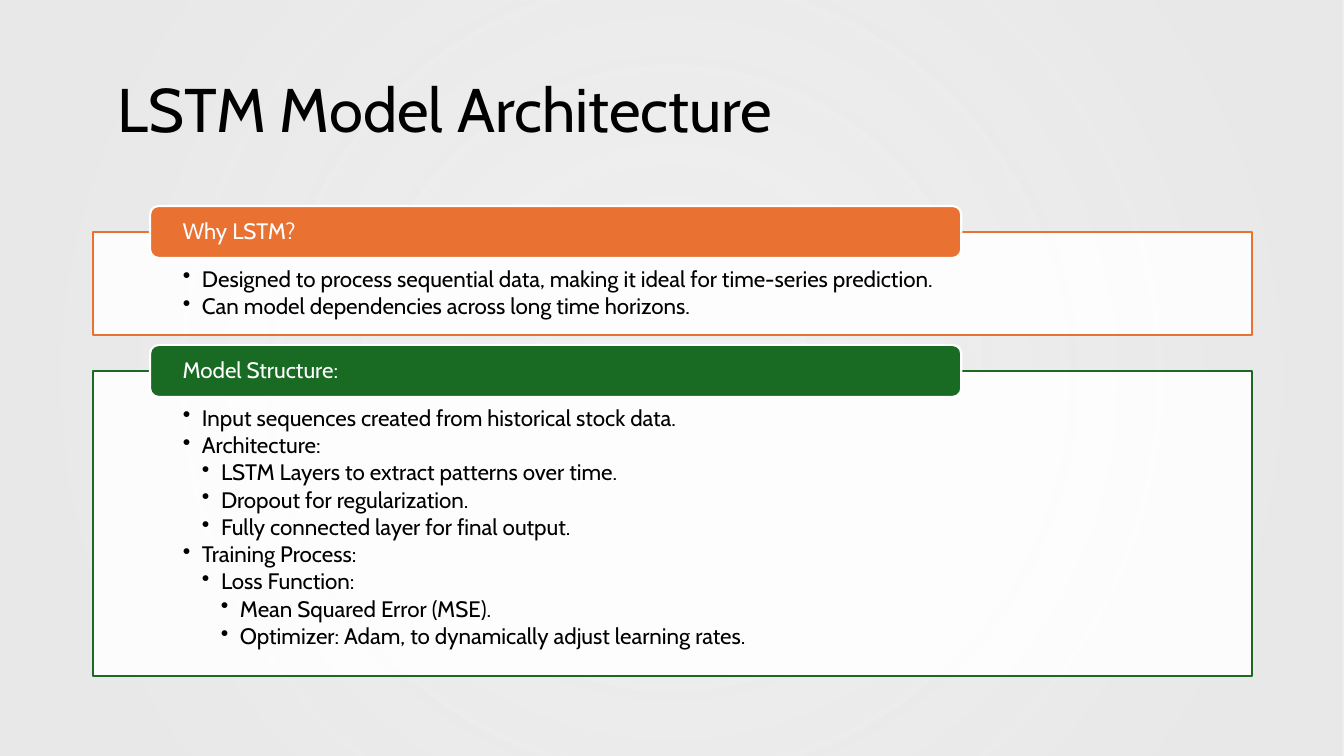
from dataclasses import dataclass

from lxml.etree import SubElement
from pptx import Presentation
from pptx.dml.color import RGBColor as Rgb
from pptx.enum.shapes import MSO_SHAPE as Shape
from pptx.enum.text import MSO_ANCHOR as Anchor, PP_ALIGN as Align
from pptx.oxml import parse_xml
from pptx.oxml.ns import nsdecls, qn
from pptx.util import Pt

SCALE = 914400 / 100.8


@dataclass(frozen=True)
class Theme:
    font: str = "Cabin"
    head: int = 44
    body: int = 16
    line: float = 1.5
    black: str = "000000"
    white: str = "FFFFFF"
    grey: str = "E8E8E8"
    orange: str = "E97132"
    green: str = "196B24"


THEME = Theme()

PANELS = [
    (232, 103, THEME.orange, "Why LSTM?", [
        (1, "Designed to process sequential data, making it ideal for time-series prediction."),
        (1, "Can model dependencies across long time horizons."),
    ]),
    (371, 305, THEME.green, "Model Structure:", [
        (1, "Input sequences created from historical stock data."),
        (1, "Architecture:"),
        (2, "LSTM Layers to extract patterns over time."),
        (2, "Dropout for regularization."),
        (2, "Fully connected layer for final output."),
        (1, "Training Process:"),
        (2, "Loss Function:"),
        (3, "Mean Squared Error (MSE)."),
        (3, "Optimizer: Adam, to dynamically adjust learning rates."),
    ]),
]


def px(n):
    return round(n * SCALE)


def add_box(slide, kind, box, fill, edge=None):
    shape = slide.shapes.add_shape(kind, *map(px, box))
    shape.shadow.inherit = False
    shape.fill.solid()
    shape.fill.fore_color.rgb = Rgb.from_string(fill)
    if edge:
        shape.line.color.rgb = Rgb.from_string(edge)
        shape.line.width = Pt(THEME.line)
    else:
        shape.line.fill.background()
    return shape


def set_frame(shape, pads, anchor):
    frame = shape.text_frame
    frame.word_wrap = True
    frame.vertical_anchor = anchor
    (frame.margin_left, frame.margin_top,
     frame.margin_right, frame.margin_bottom) = map(px, pads)
    return frame


def set_text(para, text, size, color):
    para.text = text
    para.alignment = Align.LEFT
    para.line_spacing = 0.9
    para.font.name = THEME.font
    para.font.size = Pt(size)
    para.font.color.rgb = Rgb.from_string(color)


def add_bullet(para, level):
    para.level = level
    para.space_after = Pt(2.2)
    props = para._p.get_or_add_pPr()
    props.set("marL", str(px(19 * level)))
    props.set("indent", str(px(-19)))
    mark = SubElement(props, qn("a:buChar"))
    mark.set("char", "•")
    props.insert_element_before(mark, "a:tabLst", "a:defRPr", "a:extLst")


def add_back(slide, box):
    shape = add_box(slide, Shape.RECTANGLE, box, THEME.grey)
    stops = "".join(
        f'<a:gs pos="{pos}000"><a:srgbClr val="{THEME.grey}">'
        f'<a:alpha val="{alpha}000"/></a:srgbClr></a:gs>'
        for pos, alpha in ((10, 68), (85, 97)))
    grad = parse_xml(
        f'<a:gradFill {nsdecls("a")}><a:gsLst>{stops}</a:gsLst>'
        '<a:path path="circle"><a:fillToRect l="50000" t="50000" '
        'r="50000" b="50000"/></a:path></a:gradFill>')
    props = shape._element.spPr
    props.replace(props.find(qn("a:solidFill")), grad)


def add_title(slide, box, text):
    shape = slide.shapes.add_textbox(*map(px, box))
    frame = set_frame(shape, (25, 5, 10, 5), Anchor.MIDDLE)
    set_text(frame.paragraphs[0], text, THEME.head, THEME.black)


def add_panel(slide, box, color, label, items):
    left, top, width, height = box
    body = add_box(slide, Shape.RECTANGLE, box, THEME.white, color)
    tint = body._element.spPr.find(qn("a:solidFill"))[0]
    SubElement(tint, qn("a:alpha")).set("val", "90000")
    frame = set_frame(body, (90, 36, 90, 12), Anchor.TOP)
    for i, (level, text) in enumerate(items):
        para = frame.add_paragraph() if i else frame.paragraphs[0]
        set_text(para, text, THEME.body, THEME.black)
        add_bullet(para, level)

    spot = (left + 57, top - 26, width * 0.7, 52)
    tab = add_box(slide, Shape.ROUNDED_RECTANGLE, spot, color, THEME.white)
    frame = set_frame(tab, (30, 0, 30, 0), Anchor.MIDDLE)
    set_text(frame.paragraphs[0], label, THEME.body, THEME.white)


def main():
    deck = Presentation()
    deck.slide_width, deck.slide_height = px(1344), px(756)
    slide = deck.slides.add_slide(deck.slide_layouts[6])
    add_back(slide, (0, 0, 1344, 756))
    add_title(slide, (93, 40, 1159, 146), "LSTM Model Architecture")
    for top, height, color, label, items in PANELS:
        add_panel(slide, (93, top, 1159, height), color, label, items)
    deck.save("out.pptx")


if __name__ == "__main__":
    main()
